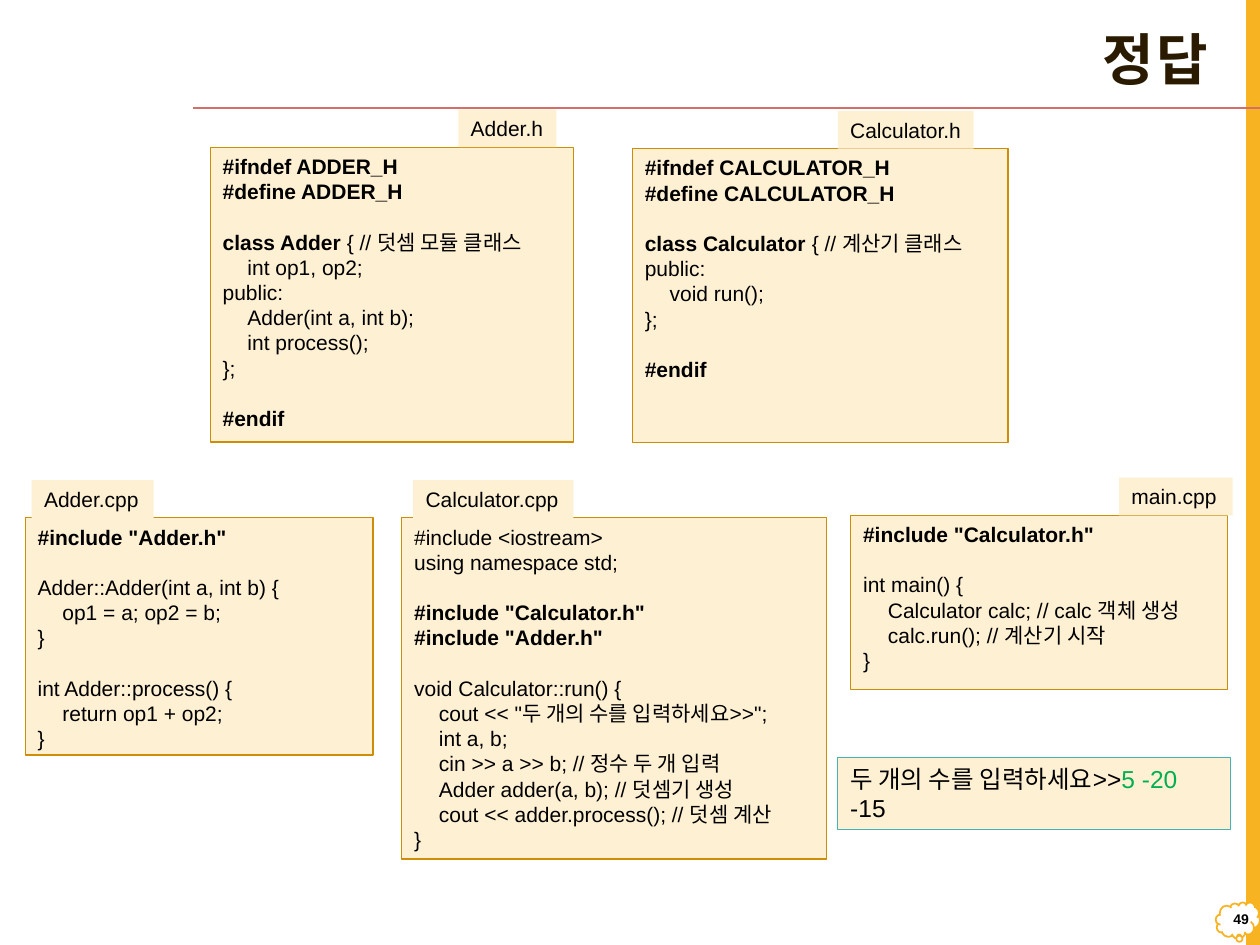
from lxml.etree import SubElement
from pptx import Presentation
from pptx.dml.color import RGBColor
from pptx.enum.shapes import MSO_CONNECTOR, MSO_SHAPE
from pptx.enum.text import MSO_ANCHOR, MSO_AUTO_SIZE, PP_ALIGN
from pptx.oxml.ns import qn
from pptx.util import Cm, Pt

WHITE = RGBColor(0xFF, 0xFF, 0xFF)
BLACK = RGBColor(0x00, 0x00, 0x00)
BROWN = RGBColor(0x2A, 0x1A, 0x00)
GOLD = RGBColor(0xF8, 0xB3, 0x23)
DARK_GOLD = RGBColor(0xCE, 0x8D, 0x07)
CREAM = RGBColor(0xFE, 0xF0, 0xD3)
ROSE = RGBColor(0xD3, 0x6F, 0x68)
TEAL = RGBColor(0x46, 0xB2, 0xB5)
GREEN = RGBColor(0x00, 0xB0, 0x50)

TAB_HEIGHT = 0.76

# In each listing, the part of a line before "|" is bold.
ADDER_H = """#ifndef ADDER_H|
#define ADDER_H|

class Adder |{ // 덧셈 모듈 클래스
\tint op1, op2;
public:
\tAdder(int a, int b);
\tint process();
};

#endif|"""

CALCULATOR_H = """#ifndef CALCULATOR_H|
#define CALCULATOR_H|

class Calculator |{ // 계산기 클래스
public:
\tvoid run();
};

#endif|"""

ADDER_CPP = """#include "Adder.h"|

Adder::Adder(int a, int b) {
\top1 = a; op2 = b;
}

int Adder::process() {
\treturn op1 + op2;
}"""

CALCULATOR_CPP = """#include <iostream>
using namespace std;

#include "Calculator.h"|
#include "Adder.h"|

void Calculator::run() {
\tcout << "두 개의 수를 입력하세요>>";
\tint a, b;
\tcin >> a >> b; // 정수 두 개 입력
\tAdder adder(a, b); // 덧셈기 생성
\tcout << adder.process(); // 덧셈 계산
}"""

MAIN_CPP = """#include "Calculator.h"|

int main() {
\tCalculator calc; // calc 객체 생성
\tcalc.run(); // 계산기 시작
}"""

FILES = [
    ("Adder.h", ADDER_H, (4.24, 2.97, 7.32, 5.94), 5.0, 1.98),
    ("Calculator.h", CALCULATOR_H, (12.75, 3.0, 7.57, 5.92), 4.14, 2.74),
    ("Adder.cpp", ADDER_CPP, (0.51, 10.44, 7.01, 4.78), 0.13, 2.46),
    ("Calculator.cpp", CALCULATOR_CPP, (8.1, 10.44, 8.56, 6.88), 0.23, 3.23),
    ("main.cpp", MAIN_CPP, (17.15, 10.39, 7.59, 3.51), 5.41, 2.29),
]


def add_box(s, box, fill=CREAM, line=None, width=0.75, kind=MSO_SHAPE.RECTANGLE):
    sp = s.shapes.add_shape(kind, *map(Cm, box))
    sp.shadow.inherit = False
    sp.fill.solid()
    sp.fill.fore_color.rgb = fill
    if line is None:
        sp.line.fill.background()
    else:
        sp.line.color.rgb = line
        sp.line.width = Pt(width)
    sp.text_frame.vertical_anchor = MSO_ANCHOR.TOP
    return sp


def style_font(font, size, color=BLACK, bold=False):
    font.name = "Arial"
    font.size = Pt(size)
    font.bold = bold
    font.color.rgb = color


def add_run(p, text, size, color=BLACK, bold=False):
    r = p.add_run()
    r.text = text
    style_font(r.font, size, color, bold)


def add_paragraph(tf, index):
    p = tf.add_paragraph() if index else tf.paragraphs[0]
    p.alignment = PP_ALIGN.LEFT
    return p


def add_code_file(s, name, code, box, tab_offset, tab_width):
    left, top, width, height = box
    tf = add_box(s, box, line=DARK_GOLD).text_frame
    tf.word_wrap = True
    for i, line in enumerate(code.split("\n")):
        p = add_paragraph(tf, i)
        if line.startswith("\t"):
            tabs = SubElement(p._p.get_or_add_pPr(), qn("a:tabLst"))
            SubElement(tabs, qn("a:tab"), pos=str(Cm(0.5)), algn="l")
        p.font.size = Pt(12)
        bold, _, plain = line.rpartition("|")
        if bold:
            add_run(p, bold, 12, bold=True)
        if plain:
            add_run(p, plain, 12)

    label = add_box(s, (left + tab_offset, top - TAB_HEIGHT, tab_width, TAB_HEIGHT))
    tf = label.text_frame
    tf.word_wrap = False
    tf.auto_size = MSO_AUTO_SIZE.SHAPE_TO_FIT_TEXT
    add_run(add_paragraph(tf, 0), name, 12)


def add_console(s, box):
    tf = add_box(s, box, line=TEAL, width=0.5).text_frame
    tf.word_wrap = True
    tf.auto_size = MSO_AUTO_SIZE.SHAPE_TO_FIT_TEXT
    p = add_paragraph(tf, 0)
    add_run(p, "두 개의 수를 입력하세요>>", 14)
    add_run(p, "5 -20", 14, GREEN)
    add_run(add_paragraph(tf, 1), "-15", 14)


def add_frame(s):
    add_box(s, (25.12, 0, 0.28, 19.05), GOLD)
    cloud = add_box(s, (24.51, 18.19, 0.89, 0.74), WHITE, GOLD, 1, MSO_SHAPE.CLOUD_CALLOUT)
    cloud.adjustments[0] = 0.03
    cloud.adjustments[1] = 0.43
    rule = s.shapes.add_connector(
        MSO_CONNECTOR.STRAIGHT, Cm(25.4), Cm(2.18), Cm(3.89), Cm(2.18))
    rule.line.color.rgb = ROSE
    rule.line.width = Pt(1)
    SubElement(rule._element.spPr, qn("a:effectLst"))


def add_title(s, box):
    title = s.shapes.title
    title.left, title.top, title.width, title.height = map(Cm, box)
    tf = title.text_frame
    tf.text = "정답"
    tf.vertical_anchor = MSO_ANCHOR.MIDDLE
    p = tf.paragraphs[0]
    p.alignment = PP_ALIGN.RIGHT
    p.line_spacing = 0.9
    r = p.runs[0]
    style_font(r.font, 32, BROWN, True)
    r._r.get_or_add_rPr().set("spc", "150")


def add_page_number(s, box):
    tf = s.shapes.add_textbox(*map(Cm, box)).text_frame
    tf.word_wrap = True
    tf.vertical_anchor = MSO_ANCHOR.MIDDLE
    p = tf.paragraphs[0]
    p.alignment = PP_ALIGN.RIGHT
    add_run(p, "49", 8, bold=True)
    tf.margin_left = 0


def main():
    prs = Presentation()
    prs.slide_width, prs.slide_height = Cm(25.4), Cm(19.05)
    s = prs.slides.add_slide(prs.slide_layouts[5])
    add_frame(s)
    add_title(s, (3.35, 0.33, 21.26, 1.85))
    add_page_number(s, (24.54, 18.08, 0.89, 0.89))
    for code_file in FILES:
        add_code_file(s, *code_file)
    add_console(s, (16.89, 15.27, 7.92, 1.45))
    prs.save("out.pptx")


if __name__ == "__main__":
    main()
